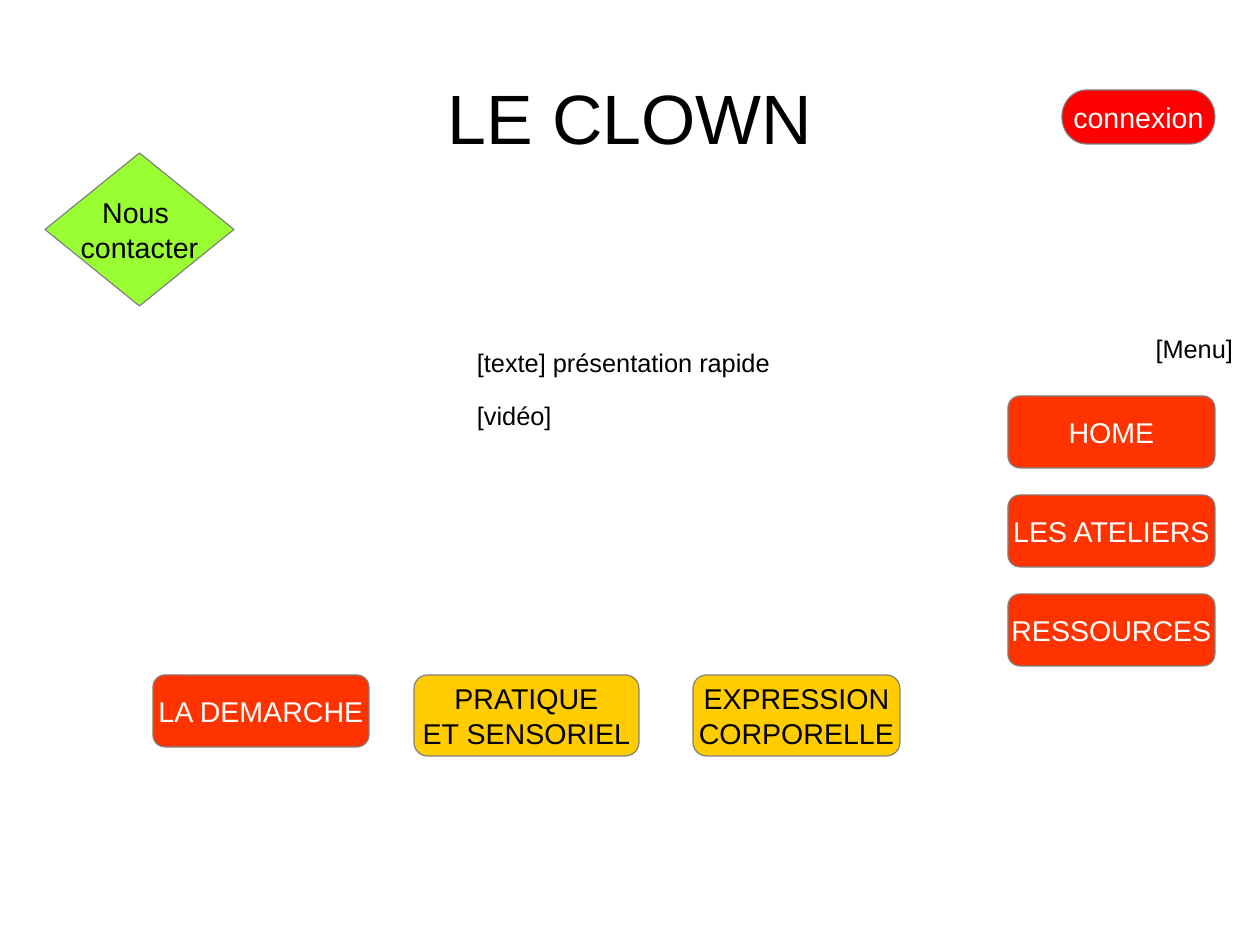
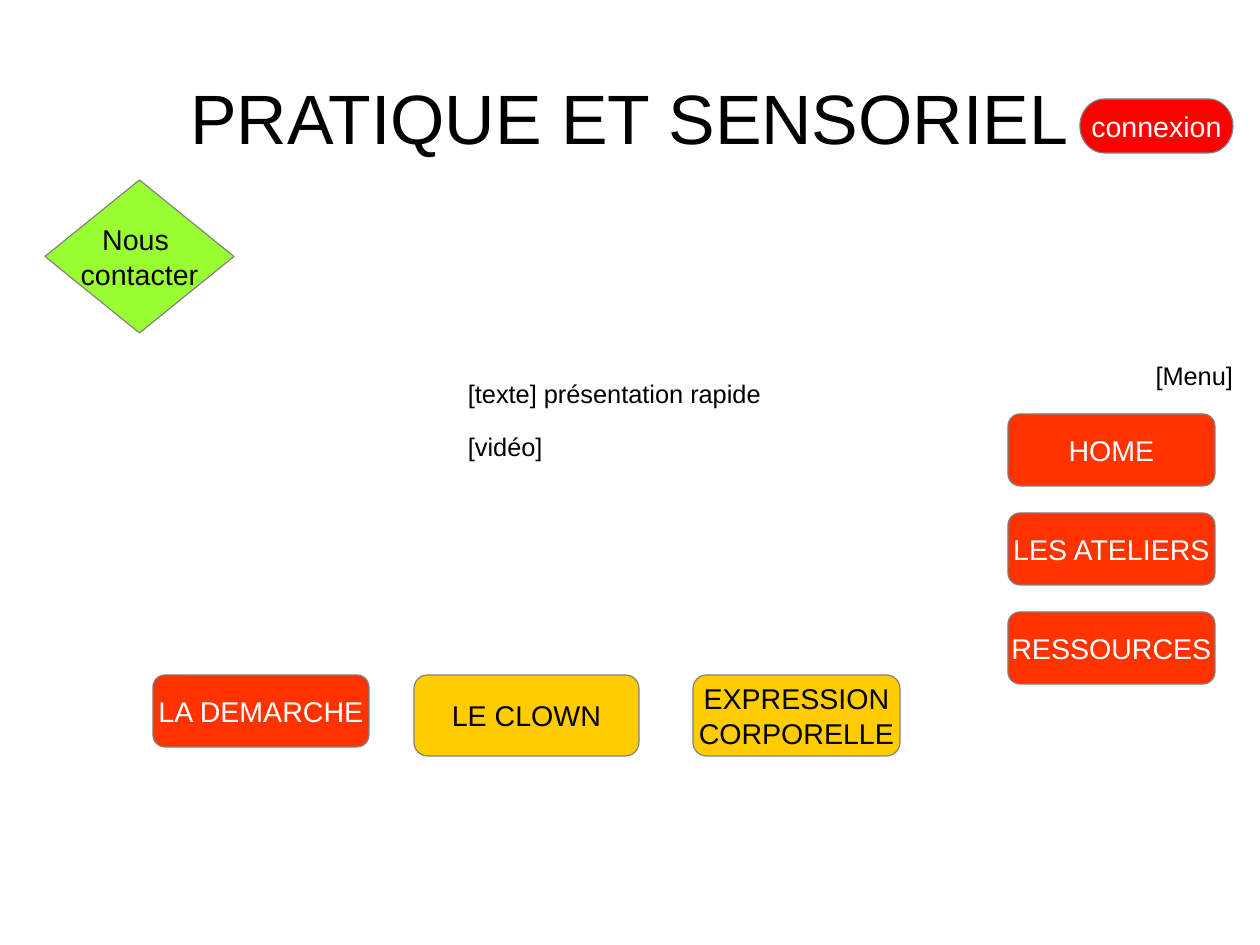
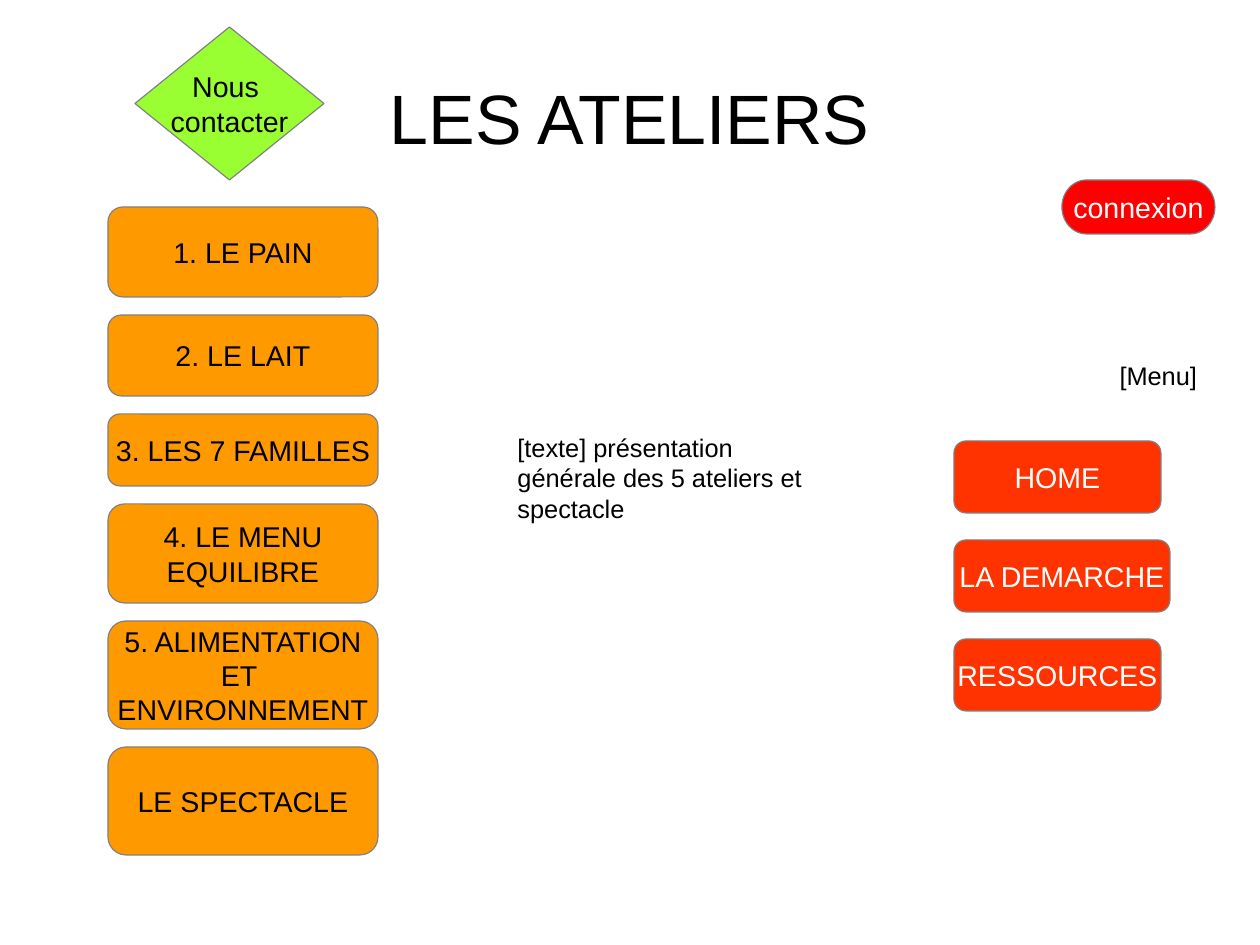
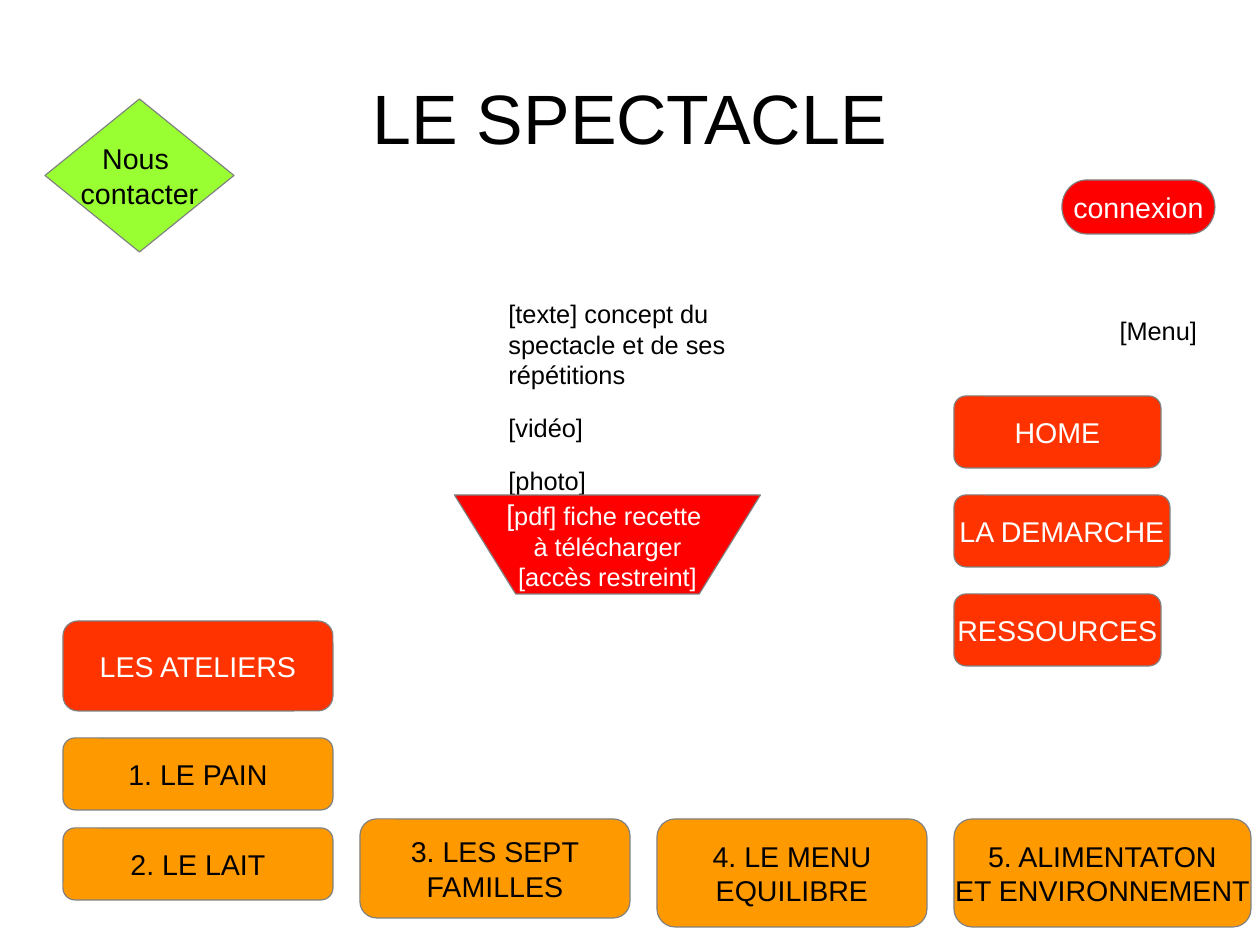
from collections import namedtuple

from pptx import Presentation
from pptx.dml.color import RGBColor
from pptx.enum.shapes import MSO_SHAPE as Preset
from pptx.enum.text import MSO_ANCHOR as Anchor, PP_ALIGN as Align
from pptx.util import Cm, Pt

# The slide is a grid of square cells, one centimetre each
CELL = Cm(1)
COLUMNS, ROWS = 28, 21
Box = namedtuple("Box", "left top width height")

FONT = "Arial"
TITLE_SIZE, BUTTON_SIZE, BODY_SIZE = 44, 18, 16
BODY_INDENT, BODY_SPACE = 1.2, 14.1

BLACK = RGBColor(0x00, 0x00, 0x00)
WHITE = RGBColor(0xFF, 0xFF, 0xFF)
GREY = RGBColor(0x80, 0x80, 0x80)
RED = RGBColor(0xFF, 0x00, 0x00)
VERMILION = RGBColor(0xFF, 0x33, 0x00)
ORANGE = RGBColor(0xFF, 0x99, 0x00)
YELLOW = RGBColor(0xFF, 0xCC, 0x00)
GREEN = RGBColor(0x99, 0xFF, 0x33)

TITLE_BOX = Box(0.05 * COLUMNS, 0.04 * ROWS, 0.9 * COLUMNS, ROWS / 6)
MENU_WIDTH, MENU_HEIGHT, MENU_GAP = 4.6, 1.6, 0.6
WIDE_BUTTON = 4.8  # room for the longest menu label


def to_lengths(box):
    return [int(cells * CELL) for cells in box]


def format_runs(paragraph, size, color, align):
    paragraph.alignment = align
    for run in paragraph.runs:
        run.font.name = FONT
        run.font.size = Pt(size)
        run.font.color.rgb = color


def write_lines(text_frame, lines, size, color, align):
    text_frame.text = "\n".join(lines)
    for paragraph in text_frame.paragraphs:
        format_runs(paragraph, size, color, align)


# Text regions
def add_text(slide, box, lines, size, align=Align.LEFT, anchor=Anchor.TOP):
    text_frame = slide.shapes.add_textbox(*to_lengths(box)).text_frame
    text_frame.word_wrap = True
    text_frame.vertical_anchor = anchor
    text_frame.margin_left = text_frame.margin_right = 0
    text_frame.margin_top = text_frame.margin_bottom = 0
    write_lines(text_frame, lines, size, BLACK, align)
    return text_frame


def add_body(slide, box, lines, align=Align.LEFT):
    text_frame = add_text(slide, box, lines, BODY_SIZE, align)
    for paragraph in text_frame.paragraphs:
        paragraph.space_after = Pt(BODY_SPACE)
        properties = paragraph._p.get_or_add_pPr()
        properties.set("marL", str(int(BODY_INDENT * CELL)))
        properties.set("indent", "0")


# Buttons
def add_button(slide, box, label, fill, color=BLACK,
               preset=Preset.FLOWCHART_ALTERNATE_PROCESS, size=BUTTON_SIZE):
    shape = slide.shapes.add_shape(preset, *to_lengths(box))
    shape.shadow.inherit = False
    shape.fill.solid()
    shape.fill.fore_color.rgb = fill
    shape.line.color.rgb = GREY
    shape.line.width = Pt(0)
    shape.text_frame.word_wrap = False
    shape.text_frame.vertical_anchor = Anchor.MIDDLE
    write_lines(shape.text_frame, label.split("\n"), size, color, Align.CENTER)
    return shape


def add_menu(slide, left, top, labels):
    for index, label in enumerate(labels):
        width = WIDE_BUTTON if label == "LA DEMARCHE" else MENU_WIDTH
        row_top = top + index * (MENU_HEIGHT + MENU_GAP)
        add_button(slide, Box(left, row_top, width, MENU_HEIGHT),
                   label, VERMILION, WHITE)


def add_button_column(slide, left, top, width, gap, buttons):
    for label, height in buttons:
        add_button(slide, Box(left, top, width, height), label, ORANGE)
        top += height + gap


def add_button_row(slide, left, top, gap, buttons):
    for label, width, height in buttons:
        add_button(slide, Box(left, top, width, height), label, ORANGE)
        left += width + gap


def add_download(slide, box):
    shape = add_button(slide, box, "[\nà télécharger\n[accès restreint]", RED,
                       WHITE, Preset.FLOWCHART_MANUAL_OPERATION, BODY_SIZE)
    first = shape.text_frame.paragraphs[0]
    first.add_run().text = "pdf] fiche recette "
    format_runs(first, BODY_SIZE, WHITE, Align.CENTER)
    first.runs[0].font.size = Pt(BUTTON_SIZE)


# Parts shared by all slides
def add_page(presentation, title, contact, login, menu_label, menu, labels):
    slide = presentation.slides.add_slide(presentation.slide_layouts[6])
    add_text(slide, TITLE_BOX, [title], TITLE_SIZE, Align.CENTER, Anchor.MIDDLE)
    add_body(slide, menu_label, ["[Menu]"], Align.RIGHT)
    add_menu(slide, *menu, labels)
    add_button(slide, Box(*login, 3.4, 1.2), "connexion", RED, WHITE,
               Preset.FLOWCHART_TERMINATOR)
    add_button(slide, Box(*contact, 4.2, 3.4), "Nous \ncontacter", GREEN,
               preset=Preset.FLOWCHART_DECISION)
    return slide


# Slides 1 and 2: one approach, with links to the other ones
def add_approach_page(presentation, title, contact, login, menu_label, menu,
                      body, sibling):
    slide = add_page(presentation, title, contact, login, menu_label, menu,
                     ["HOME", "LES ATELIERS", "RESSOURCES"])
    add_body(slide, body, ["[texte] présentation rapide", "[vidéo]"])
    add_button(slide, Box(3.4, 15, WIDE_BUTTON, MENU_HEIGHT), "LA DEMARCHE",
               VERMILION, WHITE)
    add_button(slide, Box(9.2, 15, 5, 1.8), sibling, YELLOW)
    add_button(slide, Box(15.4, 15, 4.6, 1.8), "EXPRESSION\nCORPORELLE", YELLOW)


WORKSHOP_MENU = ["HOME", "LA DEMARCHE", "RESSOURCES"]


# Slide 3: list of workshops
def add_workshops_page(presentation):
    slide = add_page(presentation, "LES ATELIERS", (3, 0.6), (23.6, 4),
                     Box(19.8, 8, 6.8, 8.6), (21.2, 9.8), WORKSHOP_MENU)
    add_body(slide, Box(10.3, 9.6, 8.1, 3.66),
             ["[texte] présentation générale des 5 ateliers et spectacle"])
    add_button_column(slide, 2.4, 4.6, 6, 0.4, [
        ("1. LE PAIN", 2),
        ("2. LE LAIT", 1.8),
        ("3. LES 7 FAMILLES", 1.6),
        ("4. LE MENU\nEQUILIBRE", 2.2),
        ("5. ALIMENTATION\nET \nENVIRONNEMENT", 2.4),
        ("LE SPECTACLE", 2.4),
    ])


# Slide 4: the show
def add_show_page(presentation):
    slide = add_page(presentation, "LE SPECTACLE", (1, 2.2), (23.6, 4),
                     Box(19.8, 7, 6.8, 8.6), (21.2, 8.8), WORKSHOP_MENU)
    add_body(slide, Box(10.1, 6.63, 8.1, 7.04), [
        "[texte] concept du spectacle et de ses répétitions",
        "[vidéo]",
        "[photo]",
    ])
    add_download(slide, Box(10.1, 11, 6.8, 2.2))
    add_button(slide, Box(1.4, 13.8, 6, 2), "LES ATELIERS", VERMILION, WHITE)
    add_button_column(slide, 1.4, 16.4, 6, 0.4,
                      [("1. LE PAIN", 1.6), ("2. LE LAIT", 1.6)])
    add_button_row(slide, 8, 18.2, 0.6, [
        ("3. LES SEPT\nFAMILLES", 6, 2.2),
        ("4. LE MENU\nEQUILIBRE", 6, 2.4),
        ("5. ALIMENTATON\nET ENVIRONNEMENT", 6.6, 2.4),
    ])


def main():
    presentation = Presentation()
    presentation.slide_width = COLUMNS * CELL
    presentation.slide_height = ROWS * CELL
    add_approach_page(presentation, "LE CLOWN", (1, 3.4), (23.6, 2),
                      Box(21.4, 7.4, 6, 9.2), (22.4, 8.8),
                      Box(9.4, 7.72, 9.2, 3.68), "PRATIQUE\nET SENSORIEL")
    add_approach_page(presentation, "PRATIQUE ET SENSORIEL", (1, 4), (24, 2.2),
                      Box(21.4, 8, 6, 9.2), (22.4, 9.2),
                      Box(9.2, 8.4, 8.6, 3.68), "LE CLOWN")
    add_workshops_page(presentation)
    add_show_page(presentation)
    presentation.save("out.pptx")


if __name__ == "__main__":
    main()
